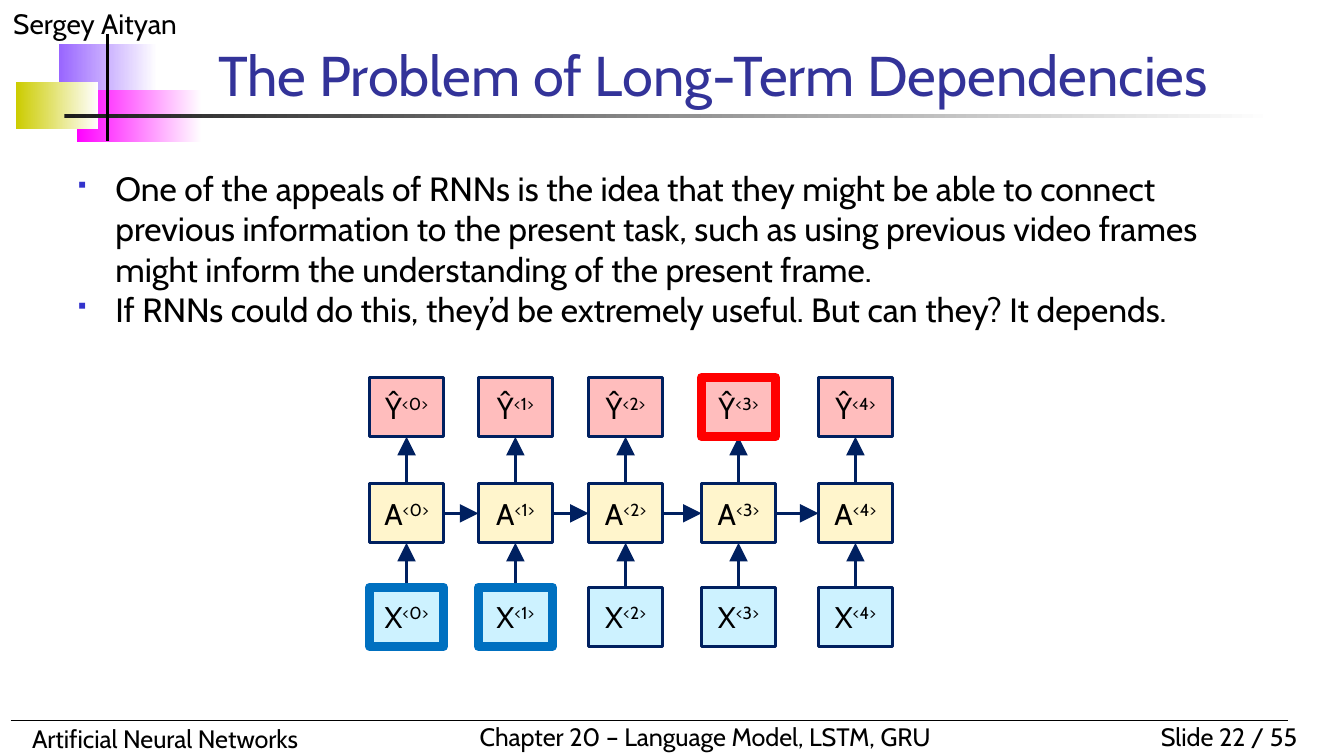
from lxml.etree import SubElement
from pptx import Presentation
from pptx.dml.color import RGBColor
from pptx.enum.shapes import MSO_CONNECTOR as Connector, MSO_SHAPE as Shape
from pptx.enum.text import MSO_ANCHOR as Anchor, PP_ALIGN as Align
from pptx.oxml.ns import qn
from pptx.util import Inches, Pt

colour = RGBColor.from_string
NAVY, BLUE, RED, BLACK = "002060", "0070C0", "FF0000", "000000"


def grid(*cells):
    return [round(Inches(0.1) * cell) for cell in cells]


def write(paragraph, text, size=16, ink=BLACK, align=Align.LEFT, raised=False):
    paragraph.alignment = align
    run = paragraph.add_run()
    run.text = text
    run.font.name = "Cabin"
    run.font.size = Pt(size)
    run.font.color.rgb = colour(ink)
    if raised:
        run.font._element.set("baseline", "30000")


deck = Presentation()
deck.slide_width, deck.slide_height = grid(100, 56.25)
slide = deck.slides.add_slide(deck.slide_layouts[6])
shapes = slide.shapes

for area, tint in [
    ((4.4, 3.3, 7.3, 3.9), "9966FF"),
    ((5.7, 6.7, 9.3, 3.9), "FF00FF"),
    ((1.2, 6.1, 6.1, 3.5), "CCCC00"),
    ((4.8, 8.5, 90, 0.25), "1C1C1C"),
]:
    ornament = shapes.add_shape(Shape.RECTANGLE, *grid(*area))
    ornament.shadow.inherit = False
    ornament.line.fill.background()
    ornament.fill.gradient()
    ornament.fill.gradient_angle = 0
    for stop, shade in zip(ornament.fill.gradient_stops, (tint, "FFFFFF")):
        stop.color.rgb = colour(shade)

for area, text, size, ink, align, anchor, wrap in [
    ((0, 0, 25, 3.5), "Sergey Aityan", 15, BLACK, Align.LEFT, Anchor.TOP, True),
    ((82.5, 53.2, 15, 3.3), "Slide 22 / 55", 13.5, BLACK, Align.RIGHT, Anchor.TOP, True),
    ((1.4, 53.35, 37, 3.3), "Artificial Neural Networks", 13.5, BLACK, Align.LEFT, Anchor.TOP, True),
    ((34.7, 53.2, 37.8, 3.3), "Chapter 20 – Language Model, LSTM, GRU", 13.5, BLACK,
     Align.LEFT, Anchor.TOP, False),
    ((15.25, 3.1, 81.4, 5.4), "The Problem of Long-Term Dependencies", 30, "333399",
     Align.LEFT, Anchor.BOTTOM, True),
]:
    frame = shapes.add_textbox(*grid(*area)).text_frame
    frame.word_wrap = wrap
    frame.vertical_anchor = anchor
    write(frame.paragraphs[0], text, size=size, ink=ink, align=align)

connectors = []
for ends, weight in [((0.8, 53.6, 95.8, 53.6), 0.75), ((8, 2.5, 8, 10.5), 2)]:
    rule = shapes.add_connector(Connector.STRAIGHT, *grid(*ends))
    rule.line.color.rgb = colour(BLACK)
    rule.line.width = Pt(weight)
    connectors.append(rule)

body = shapes.add_textbox(*grid(4.8, 12, 90.2, 37.8)).text_frame
body.word_wrap = True
points = [
    "One of the appeals of RNNs is the idea that they might be able to connect previous "
    "information to the present task, such as using previous video frames might inform "
    "the understanding of the present frame.",
    "If RNNs could do this, they’d be extremely useful. But can they? It depends.",
]
for index, point in enumerate(points):
    paragraph = body.add_paragraph() if index else body.paragraphs[0]
    indent = paragraph._p.get_or_add_pPr()
    indent.set("marL", str(Inches(0.28)))
    indent.set("indent", str(-Inches(0.28)))
    SubElement(SubElement(indent, qn("a:buClr")), qn("a:srgbClr"), val="3333CC")
    SubElement(indent, qn("a:buSzPct"), val="60000")
    SubElement(indent, qn("a:buFont"), typeface="Wingdings", charset="2")
    SubElement(indent, qn("a:buChar"), char="§")
    write(paragraph, point, size=18)

step_lefts = [27.5, 35.6, 43.8, 52.2, 60.9]
layers = [("Ŷ", 28.1, "FFBDBD"), ("X", 43.7, "CDF2FF"), ("A", 36, "FFF5CC")]
highlights = {("X", 0): BLUE, ("X", 1): BLUE, ("Ŷ", 3): RED}
nodes = {}
for step, left in enumerate(step_lefts):
    for letter, top, tint in layers:
        node = shapes.add_shape(Shape.RECTANGLE, *grid(left, top, 5.5, 4.4))
        node.shadow.inherit = False
        node.fill.solid()
        node.fill.fore_color.rgb = colour(tint)
        node.line.color.rgb = colour(highlights.get((letter, step), NAVY))
        node.line.width = Pt(5 if (letter, step) in highlights else 1.5)
        frame = node.text_frame
        frame.margin_left = frame.margin_right = frame.margin_top = frame.margin_bottom = 0
        frame.word_wrap = False
        frame.vertical_anchor = Anchor.MIDDLE
        write(frame.paragraphs[0], letter, align=Align.CENTER)
        write(frame.paragraphs[0], f"<{step}>", align=Align.CENTER, raised=True)
        nodes[letter, step] = node

steps = range(len(step_lefts))
flows = [(("A", step), 3, ("A", step + 1), 1) for step in steps[:-1]]
for step in steps:
    flows += [(("A", step), 0, ("Ŷ", step), 2), (("X", step), 0, ("A", step), 2)]

for source, exit_side, target, entry_side in flows:
    arrow = shapes.add_connector(Connector.STRAIGHT, 0, 0, 0, 0)
    arrow.begin_connect(nodes[source], exit_side)
    arrow.end_connect(nodes[target], entry_side)
    arrow.line.color.rgb = colour(NAVY)
    arrow.line.width = Pt(1.5)
    SubElement(arrow.line._get_or_add_ln(), qn("a:tailEnd"), type="triangle", w="lg", len="lg")
    nodes["Ŷ", 0]._element.addprevious(arrow._element)
    connectors.append(arrow)

for connector in connectors:
    SubElement(connector._element.spPr, qn("a:effectLst"))

deck.save("out.pptx")
